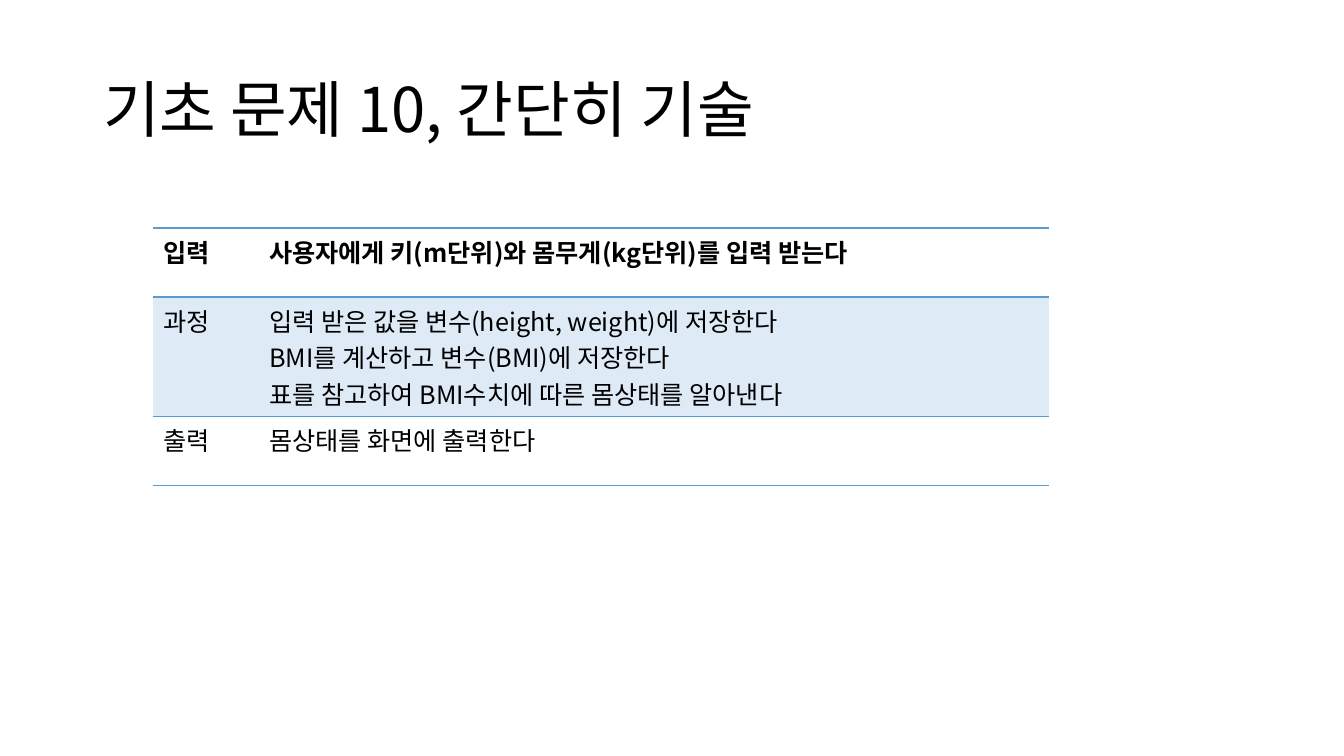
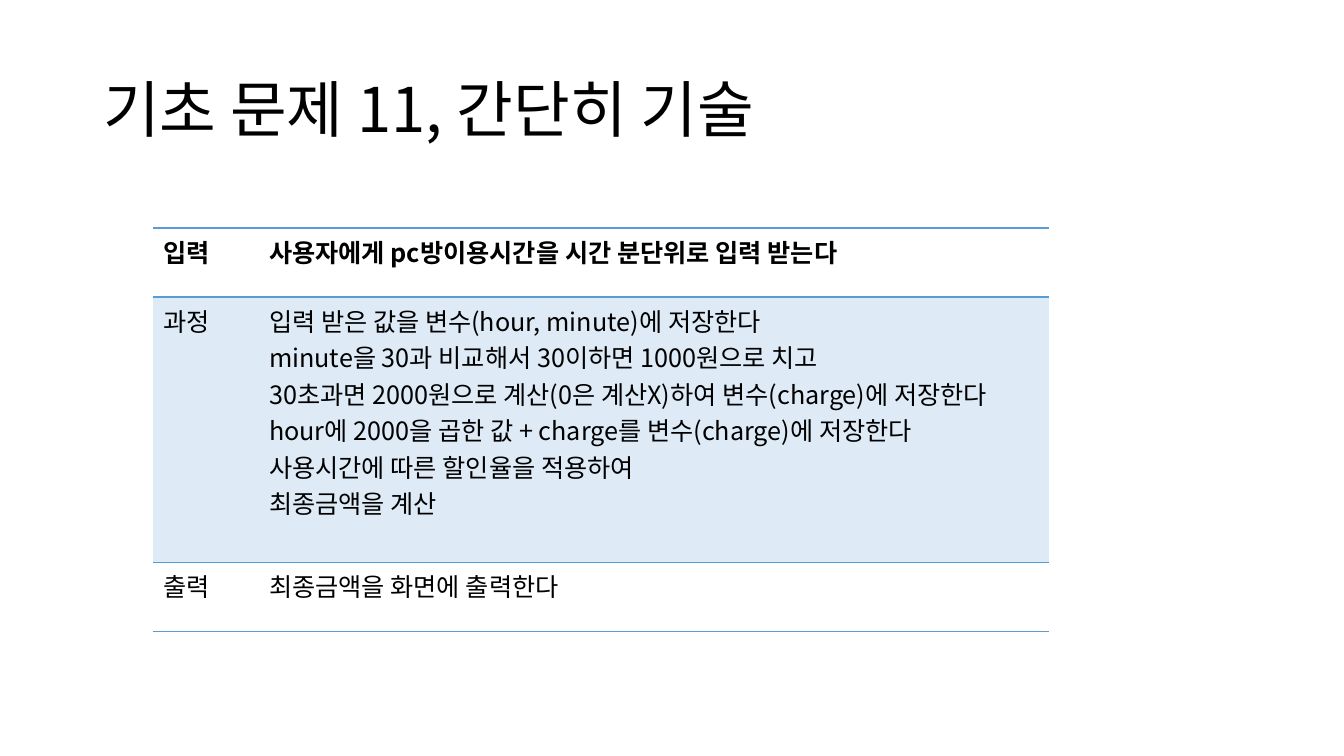
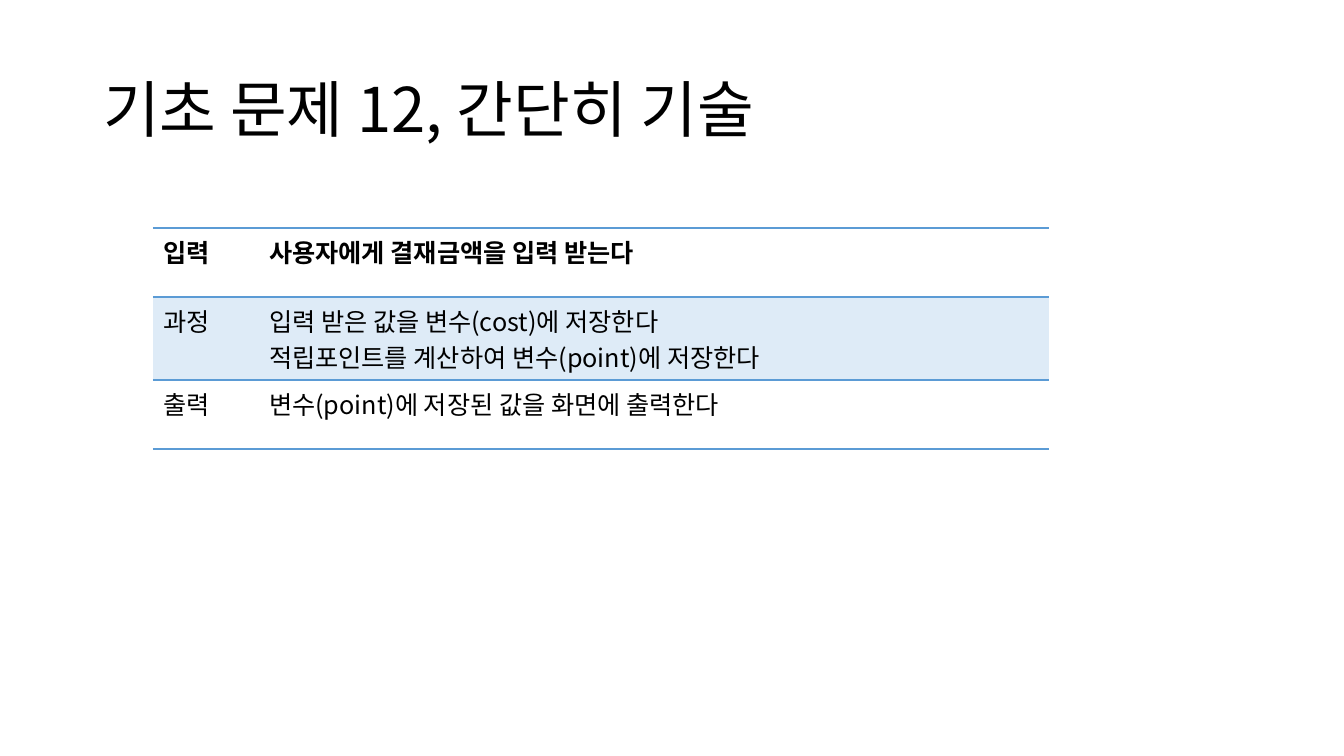
from dataclasses import dataclass

from lxml.etree import SubElement
from pptx import Presentation
from pptx.dml.color import RGBColor
from pptx.enum.text import MSO_ANCHOR, MSO_AUTO_SIZE, PP_ALIGN
from pptx.oxml.ns import qn
from pptx.util import Emu, Pt


@dataclass(frozen=True)
class Theme:
    font: str = "Noto Sans CJK KR"
    text: str = "000000"
    rule: str = "5B9BD5"
    band: str = "DEEBF7"
    title_size: int = 44
    body_size: int = 18
    rule_width: int = 1


THEME = Theme()
PLAIN_TABLE_STYLE = "{2D5ABB26-0587-4C30-8999-92F81FD0307C}"
SLIDE_SIZE = (1344, 756)
TITLE_BOX = (93, 40, 1159, 146)
TABLE_ORIGIN = (153, 228)
COLUMN_WIDTHS = (106, 790)
ROW_HEIGHT = 69
STEP_LABELS = ("입력", "과정", "출력")

PROBLEMS = [
    (10, (
        "사용자에게 키(m단위)와 몸무게(kg단위)를 입력 받는다",
        "입력 받은 값을 변수(height, weight)에 저장한다\n"
        "BMI를 계산하고 변수(BMI)에 저장한다\n"
        "표를 참고하여 BMI수치에 따른 몸상태를 알아낸다",
        "몸상태를 화면에 출력한다",
    )),
    (11, (
        "사용자에게 pc방이용시간을 시간 분단위로 입력 받는다",
        "입력 받은 값을 변수(hour, minute)에 저장한다\n"
        "minute을 30과 비교해서 30이하면 1000원으로 치고\n"
        "30초과면 2000원으로 계산(0은 계산X)하여 변수(charge)에 저장한다\n"
        "hour에 2000을 곱한 값 + charge를 변수(charge)에 저장한다\n"
        "사용시간에 따른 할인율을 적용하여\n"
        "최종금액을 계산",
        "최종금액을 화면에 출력한다",
    )),
    (12, (
        "사용자에게 결재금액을 입력 받는다",
        "입력 받은 값을 변수(cost)에 저장한다\n"
        "적립포인트를 계산하여 변수(point)에 저장한다",
        "변수(point)에 저장된 값을 화면에 출력한다",
    )),
]


def px(pixels):
    return Emu(round(pixels * 914400 / 100.8))


def format_text(text_frame, size, bold=False):
    for paragraph in text_frame.paragraphs:
        for run in paragraph.runs:
            font = run.font
            font.name = THEME.font
            font.size = Pt(size)
            font.bold = bold
            font.color.rgb = RGBColor.from_string(THEME.text)
            east_asian = SubElement(font._element, qn("a:ea"))
            east_asian.set("typeface", THEME.font)


def add_title(slide, text):
    title = slide.shapes.title
    title.left, title.top, title.width, title.height = map(px, TITLE_BOX)
    text_frame = title.text_frame
    text_frame.text = text
    text_frame.auto_size = MSO_AUTO_SIZE.NONE
    text_frame.vertical_anchor = MSO_ANCHOR.MIDDLE
    paragraph = text_frame.paragraphs[0]
    paragraph.alignment = PP_ALIGN.LEFT
    paragraph.line_spacing = 0.9
    format_text(text_frame, THEME.title_size)


def add_border(cell, side):
    properties = cell._tc.get_or_add_tcPr()
    line = SubElement(properties, qn(f"a:{side}"), w=str(Pt(THEME.rule_width)))
    fill = SubElement(line, qn("a:solidFill"))
    SubElement(fill, qn("a:srgbClr"), val=THEME.rule)


def format_cell(cell, text, borders, banded, bold):
    cell.text_frame.text = text
    format_text(cell.text_frame, THEME.body_size, bold)
    for side in borders:
        add_border(cell, side)
    if banded:
        cell.fill.solid()
        cell.fill.fore_color.rgb = RGBColor.from_string(THEME.band)
    else:
        cell.fill.background()


def add_step_table(slide, descriptions):
    left, top = TABLE_ORIGIN
    row_count = len(STEP_LABELS)
    frame = slide.shapes.add_table(
        row_count, len(COLUMN_WIDTHS), px(left), px(top),
        px(sum(COLUMN_WIDTHS)), px(ROW_HEIGHT * row_count))
    table = frame.table
    table._tbl.tblPr.find(qn("a:tableStyleId")).text = PLAIN_TABLE_STYLE
    for column, width in zip(table.columns, COLUMN_WIDTHS):
        column.width = px(width)
    row_borders = (("lnT", "lnB"), ("lnT",), ("lnB",))
    rows = zip(table.rows, STEP_LABELS, descriptions, row_borders)
    for index, (row, label, description, borders) in enumerate(rows):
        row.height = px(ROW_HEIGHT)
        for cell, text in zip(row.cells, (label, description)):
            format_cell(cell, text, borders, banded=index == 1, bold=index == 0)


def main():
    presentation = Presentation()
    presentation.slide_width, presentation.slide_height = map(px, SLIDE_SIZE)
    title_only = presentation.slide_layouts[5]
    for number, descriptions in PROBLEMS:
        slide = presentation.slides.add_slide(title_only)
        add_title(slide, f"기초 문제 {number}, 간단히 기술")
        add_step_table(slide, descriptions)
    presentation.save("out.pptx")


main()
